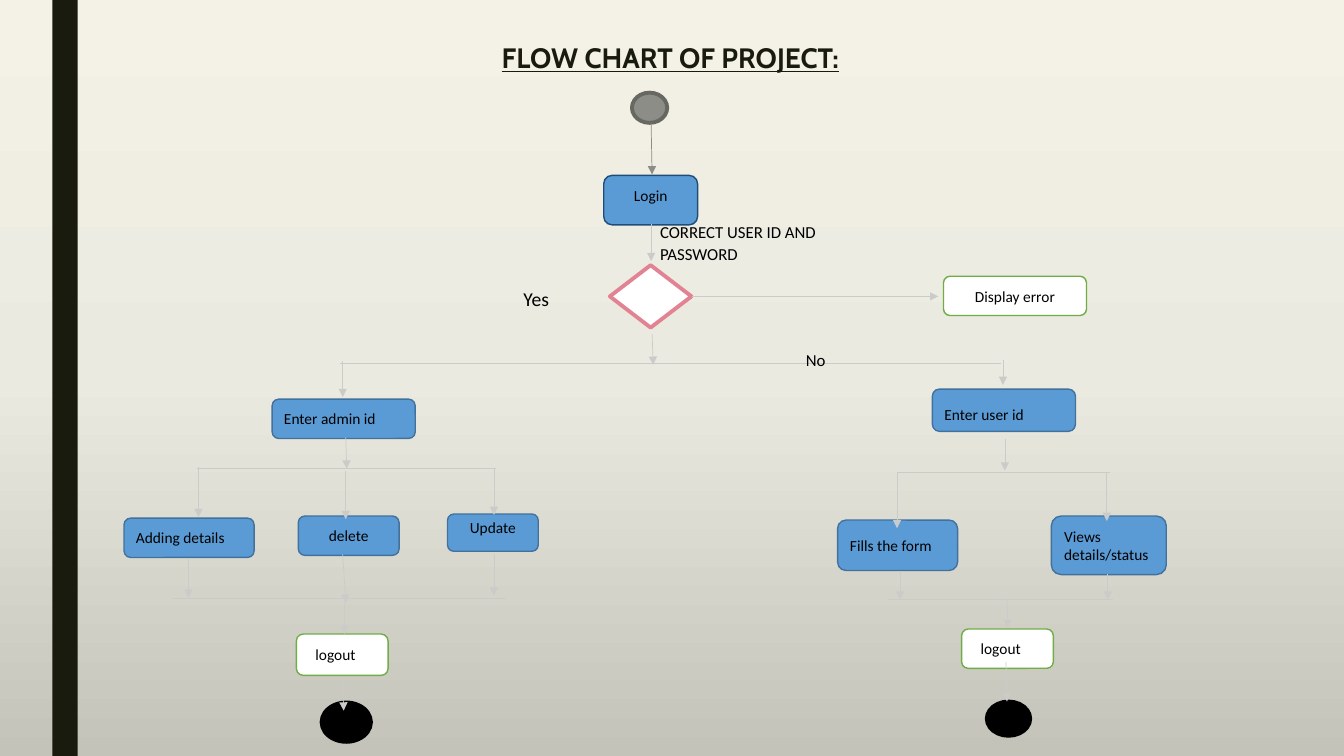
from pptx import Presentation
from pptx.dml.color import RGBColor
from pptx.enum.shapes import MSO_CONNECTOR, MSO_SHAPE as Preset
from pptx.enum.text import MSO_ANCHOR as Anchor, PP_ALIGN as Align
from pptx.oxml import parse_xml
from pptx.oxml.ns import nsdecls, qn
from pptx.util import Pt
from lxml import etree

BLACK = RGBColor(0, 0, 0)
WHITE = RGBColor(255, 255, 255)
INK = RGBColor(0x19, 0x1B, 0x0E)
BLUE = RGBColor(0x5B, 0x9B, 0xD5)
BLUE_EDGE = RGBColor(0x41, 0x71, 0x9C)
LOGIN_EDGE = RGBColor(0x1F, 0x4D, 0x78)
GREEN = RGBColor(0x70, 0xAD, 0x47)
PINK = RGBColor(0xE2, 0x83, 0x94)
GREY = RGBColor(0x8C, 0x8D, 0x86)
GREY_EDGE = RGBColor(0x68, 0x68, 0x63)
PALE = RGBColor(0xCB, 0xCC, 0xC9)
BACKGROUND = ((0, "F4F2E7"), (50, "EBEAE0"), (100, "C4C3B9"))

STEPS = [
    ("Enter admin id", 194.4, 285.1, 102.2, 28.1, Align.LEFT, 0),
    ("Enter user id", 666, 277.9, 102.2, 30.2, Align.LEFT, 3),
    ("Adding details", 88.6, 370.1, 92.9, 28.1, Align.LEFT, 0),
    ("delete", 213.1, 368.6, 72, 28.1, Align.CENTER, 0),
    ("Update", 319.7, 367.2, 64.8, 26.6, Align.CENTER, -3.6),
    ("Fills the form", 598.3, 371.5, 85.7, 36, Align.LEFT, 0),
    ("Views details/status", 751, 368.6, 82.1, 41.8, Align.LEFT, 0),
]
RAILS = [
    (242.6, 715, 259.2),
    (140.4, 354.2, 334.8),
    (640.8, 792.7, 337.7),
    (123.1, 361.4, 427.7),
    (634.3, 794.9, 428.4),
]
ARROWS = [
    (465.1, 159.8, 465.1, 186.5),
    (494.6, 211.7, 670.3, 211.7),
    (465.8, 238.3, 466.6, 260.6),
    (244.8, 257.8, 244.8, 283.7),
    (716.4, 257, 716.4, 275),
    (247, 312.5, 247.7, 334.8),
    (141.8, 333.4, 141.8, 369.4),
    (247, 336.2, 247, 370.8),
    (352.8, 334.1, 352.8, 367.9),
    (717.8, 313.9, 717.8, 336.2),
    (640.8, 337.7, 640.8, 377.3),
    (790.6, 337.7, 790.6, 372.2),
    (352.8, 396, 352.8, 425.5),
    (244.8, 396, 247, 430.6),
    (134.6, 398.9, 134.6, 427),
    (246.2, 430.6, 246.2, 452.9),
    (244.8, 485.3, 245.5, 507.6),
    (643, 408.2, 643, 428.4),
    (791.3, 409.7, 791.3, 428.4),
    (719.3, 427, 720, 448.6),
    (718.6, 473, 719.3, 501.1),
]


def set_background(slide):
    stops = "".join(
        f'<a:gs pos="{position * 1000}"><a:srgbClr val="{color}"/></a:gs>'
        for position, color in BACKGROUND
    )
    background = parse_xml(
        f'<p:bg {nsdecls("p", "a")}><p:bgPr><a:gradFill rotWithShape="1">'
        f'<a:gsLst>{stops}</a:gsLst><a:lin ang="5400000" scaled="0"/>'
        "</a:gradFill><a:effectLst/></p:bgPr></p:bg>"
    )
    slide.element.find(qn("p:cSld")).insert(0, background)


def set_title(slide, text):
    title = slide.shapes.title
    title.left, title.top, title.width, title.height = Pt(0), Pt(23), Pt(957.6), Pt(36)
    frame = title.text_frame
    frame.text = text
    frame.vertical_anchor = Anchor.MIDDLE
    paragraph = frame.paragraphs[0]
    paragraph.alignment = Align.CENTER
    font = paragraph.font
    font.name, font.size, font.bold, font.underline = "Cabin", Pt(20), True, True
    font.color.rgb = INK


def write(shape, text, size=11, align=Align.CENTER, anchor=Anchor.MIDDLE):
    frame = shape.text_frame
    frame.word_wrap = True
    frame.vertical_anchor = anchor
    frame.text = text
    paragraph = frame.paragraphs[0]
    paragraph.alignment = align
    paragraph.font.name, paragraph.font.size = "Calibri", Pt(size)
    paragraph.font.color.rgb = BLACK
    return paragraph


def add_node(slide, preset, left, top, width, height, fill, edge=None, weight=2.75):
    shape = slide.shapes.add_shape(preset, Pt(left), Pt(top), Pt(width), Pt(height))
    shape.shadow.inherit = False
    shape.fill.solid()
    shape.fill.fore_color.rgb = fill
    if edge is None:
        shape.line.fill.background()
    else:
        shape.line.color.rgb = edge
        shape.line.width = Pt(weight)
    return shape


def add_step(slide, text, left, top, width, height, align=Align.CENTER, shift=0,
             fill=BLUE, edge=BLUE_EDGE, indent=7.2):
    shape = add_node(slide, Preset.FLOWCHART_ALTERNATE_PROCESS,
                     left, top, width, height, fill, edge, 1)
    write(shape, text, align=align)
    frame = shape.text_frame
    frame.margin_left = Pt(indent)
    frame.margin_top = Pt(max(0, 2 * shift))
    frame.margin_bottom = Pt(max(0, -2 * shift))


def add_line(slide, start_x, start_y, end_x, end_y, color=PALE, arrow=True):
    connector = slide.shapes.add_connector(
        MSO_CONNECTOR.STRAIGHT, Pt(start_x), Pt(start_y), Pt(end_x), Pt(end_y))
    connector.line.color.rgb = color
    connector.line.width = Pt(0.5)
    properties = connector.element.spPr
    if arrow:
        line = properties.find(qn("a:ln"))
        etree.SubElement(line, qn("a:tailEnd"), type="triangle")
    etree.SubElement(properties, qn("a:effectLst"))


def add_label(slide, text, left, top, width, height, size, anchor=Anchor.MIDDLE):
    box = slide.shapes.add_textbox(Pt(left), Pt(top), Pt(width), Pt(height))
    return write(box, text, size, Align.LEFT, anchor)


def main():
    presentation = Presentation()
    presentation.slide_width, presentation.slide_height = Pt(960), Pt(540)
    slide = presentation.slides.add_slide(presentation.slide_layouts[5])
    set_background(slide)
    add_node(slide, Preset.RECTANGLE, 37.4, 0, 18, 540, INK)
    set_title(slide, "FLOW CHART OF PROJECT:")

    add_node(slide, Preset.OVAL, 451.4, 66.2, 25.2, 21.6, GREY, GREY_EDGE)
    add_line(slide, 465.1, 87.8, 465.8, 124.6, GREY)
    add_step(slide, "Login", 431.3, 125.3, 67, 35.3, shift=-3.6, edge=LOGIN_EDGE)
    add_node(slide, Preset.FLOWCHART_DECISION, 435.6, 189.4, 58.3, 44.6, WHITE, PINK)
    add_step(slide, "Display error", 673.9, 197.3, 102.2, 28.1, fill=WHITE, edge=GREEN)
    for step in STEPS:
        add_step(slide, *step)
    for left, top, height in ((211.7, 452.9, 29.5), (686.9, 449.3, 28.1)):
        add_step(slide, "logout", left, top, 65.5, height, Align.LEFT,
                 fill=WHITE, edge=GREEN, indent=12.2)
    for left, top, width, height in ((229.7, 501.8, 35.3, 28.1), (704.9, 501.1, 31, 24.5)):
        add_node(slide, Preset.OVAL, left, top, width, height, BLACK, BLACK)

    for left, right, y in RAILS:
        add_line(slide, left, y, right, y, arrow=False)
    for arrow in ARROWS:
        add_line(slide, *arrow)

    add_label(slide, "Yes", 366.8, 200, 50, 26, 14)
    add_label(slide, "No", 568.5, 244, 40, 26, 12)
    condition = add_label(slide, "CORRECT USER ID AND PASSWORD",
                          464.4, 154.1, 130, 38.2, 12, Anchor.TOP)
    condition.line_spacing = 1.07
    condition.space_after = Pt(8)
    presentation.save("out.pptx")


if __name__ == "__main__":
    main()
